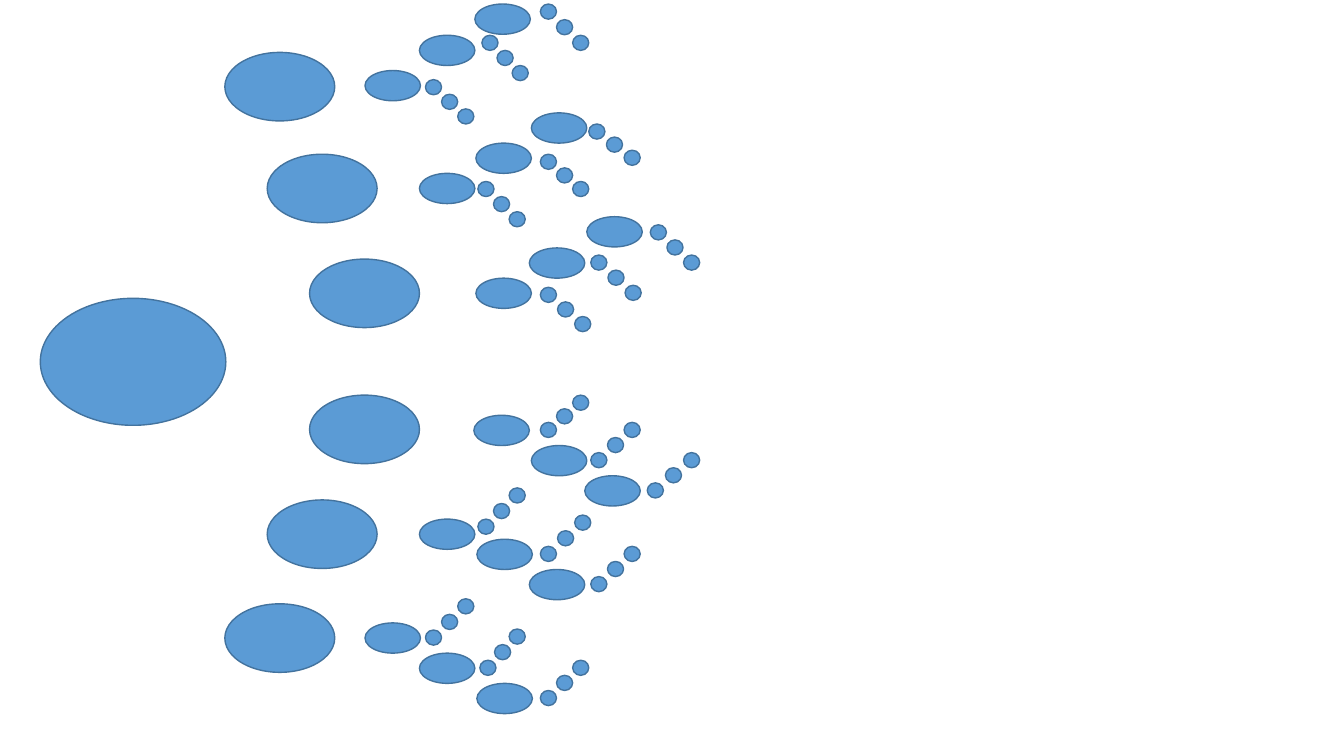
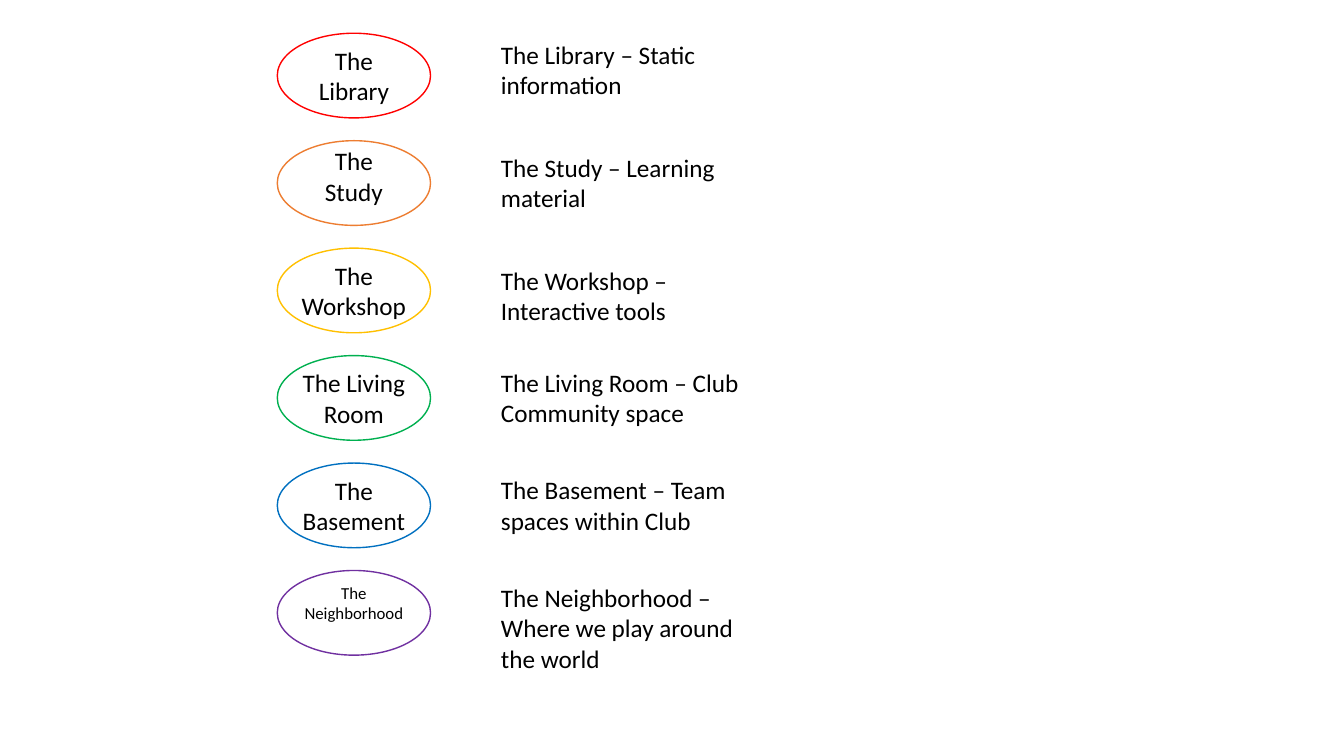
from typing import NamedTuple

from pptx import Presentation
from pptx.dml.color import RGBColor
from pptx.enum.shapes import MSO_SHAPE as Shape
from pptx.enum.text import MSO_AUTO_SIZE as AutoSize, PP_ALIGN as Align
from pptx.slide import Slide
from pptx.util import Inches, Pt

COLORS = {
    "node": "5B9BD5",
    "node_edge": "43739E",
    "white": "FFFFFF",
    "black": "000000",
    "red": "FF0000",
    "orange": "ED7D31",
    "gold": "FFC000",
    "green": "00B050",
    "blue": "0070C0",
    "purple": "7030A0",
}
FONT = "Calibri"

Point = tuple[float, float]
Size = tuple[float, float]

ROOT_SIZE: Size = (1.84, 1.26)
BRANCH_SIZE: Size = (1.09, 0.68)
TWIG_SIZE: Size = (0.55, 0.3)
DOT_SIZE: Size = (0.16, 0.15)
DOTS_PER_TWIG = 3

ROOM_SIZE: Size = (1.52, 0.84)
ROOM_LEFT = 2.75
FIRST_ROOM_TOP = 0.33
LAST_ROOM_TOP = 5.66
DESCRIPTION_LEFT = 4.87
DESCRIPTION_WIDTH = 2.64


class Twig(NamedTuple):
    at: Point
    first_dot: Point
    last_dot: Point


class Branch(NamedTuple):
    at: Point
    twigs: list[Twig]


class Room(NamedTuple):
    label: str
    description: str
    color: str
    description_top: float
    label_offset: float = 0.07
    label_width: float = 1.24
    label_size: int = 18


BRANCHES = [
    Branch((2.23, 0.52), [
        Twig((3.62, 0.7), (4.22, 0.79), (4.54, 1.08)),
        Twig((4.16, 0.35), (4.78, 0.35), (5.08, 0.65)),
        Twig((4.71, 0.04), (5.36, 0.04), (5.68, 0.35)),
    ]),
    Branch((2.65, 1.53), [
        Twig((4.16, 1.72), (4.74, 1.8), (5.05, 2.1)),
        Twig((4.72, 1.42), (5.36, 1.53), (5.68, 1.8)),
        Twig((5.27, 1.12), (5.84, 1.23), (6.19, 1.49)),
    ]),
    Branch((3.07, 2.57), [
        Twig((4.72, 2.76), (5.36, 2.85), (5.7, 3.14)),
        Twig((5.25, 2.46), (5.86, 2.53), (6.2, 2.83)),
        Twig((5.82, 2.15), (6.45, 2.23), (6.78, 2.53)),
    ]),
    Branch((3.07, 3.92), [
        Twig((4.7, 4.12), (5.36, 4.19), (5.68, 3.92)),
        Twig((5.27, 4.42), (5.86, 4.49), (6.19, 4.19)),
        Twig((5.8, 4.72), (6.42, 4.79), (6.78, 4.49)),
    ]),
    Branch((2.65, 4.96), [
        Twig((4.16, 5.15), (4.74, 5.15), (5.05, 4.84)),
        Twig((4.73, 5.35), (5.36, 5.42), (5.7, 5.11)),
        Twig((5.25, 5.65), (5.86, 5.72), (6.19, 5.42)),
    ]),
    Branch((2.23, 5.99), [
        Twig((3.62, 6.18), (4.22, 6.25), (4.54, 5.94)),
        Twig((4.16, 6.48), (4.76, 6.55), (5.05, 6.24)),
        Twig((4.73, 6.78), (5.36, 6.85), (5.68, 6.55)),
    ]),
]

ROOMS = [
    Room("The Library", "The Library – Static information", "red", 0.34,
         label_width=1.17),
    Room("The Study", "The Study – Learning material", "orange", 1.46,
         label_offset=0, label_width=1.17),
    Room("The Workshop", "The Workshop – Interactive tools", "gold", 2.58),
    Room("The Living Room", "The Living Room – Club Community space", "green", 3.59),
    Room("The Basement", "The Basement – Team spaces within Club", "blue", 4.66),
    Room("The\nNeighborhood", "The Neighborhood – Where we play around the world",
         "purple", 5.73, label_size=12),
]


def rgb(color: str) -> RGBColor:
    return RGBColor.from_string(COLORS[color])


def add_ellipse(slide: Slide, at: Point, size: Size,
                fill: str = "node", edge: str = "node_edge") -> None:
    ellipse = slide.shapes.add_shape(Shape.OVAL, *map(Inches, at + size))
    ellipse.shadow.inherit = False
    ellipse.fill.solid()
    ellipse.fill.fore_color.rgb = rgb(fill)
    ellipse.line.color.rgb = rgb(edge)
    ellipse.line.width = Pt(1)


def add_text(slide: Slide, text: str, at: Point, size: Size, *,
             points: int = 18, align: Align = Align.LEFT,
             color: str = "black") -> None:
    frame = slide.shapes.add_textbox(*map(Inches, at + size)).text_frame
    frame.word_wrap = True
    frame.auto_size = AutoSize.SHAPE_TO_FIT_TEXT
    frame.text = text
    for paragraph in frame.paragraphs:
        paragraph.alignment = align
        paragraph.font.name = FONT
        paragraph.font.size = Pt(points)
        paragraph.font.color.rgb = rgb(color)


def add_twig(slide: Slide, twig: Twig) -> None:
    add_ellipse(slide, twig.at, TWIG_SIZE)
    (left, top), (last_left, last_top) = twig.first_dot, twig.last_dot
    for index in range(DOTS_PER_TWIG):
        share = index / (DOTS_PER_TWIG - 1)
        dot_at = (left + share * (last_left - left), top + share * (last_top - top))
        add_ellipse(slide, dot_at, DOT_SIZE)


def add_room(slide: Slide, room: Room, top: float) -> None:
    add_ellipse(slide, (ROOM_LEFT, top), ROOM_SIZE, fill="white", edge=room.color)
    label_left = ROOM_LEFT + (ROOM_SIZE[0] - room.label_width) / 2
    add_text(slide, room.label, (label_left, top + room.label_offset),
             (room.label_width, 0.5 if room.label_size < 18 else 0.71),
             points=room.label_size, align=Align.CENTER)
    add_text(slide, room.description, (DESCRIPTION_LEFT, room.description_top),
             (DESCRIPTION_WIDTH, 0.71))


def build_tree(slide: Slide) -> None:
    add_ellipse(slide, (0.4, 2.96), ROOT_SIZE)
    for branch in BRANCHES:
        add_ellipse(slide, branch.at, BRANCH_SIZE)
        for twig in branch.twigs:
            add_twig(slide, twig)


def build_rooms(slide: Slide) -> None:
    pitch = (LAST_ROOM_TOP - FIRST_ROOM_TOP) / (len(ROOMS) - 1)
    for index, room in enumerate(ROOMS):
        add_room(slide, room, FIRST_ROOM_TOP + index * pitch)


def main() -> None:
    deck = Presentation()
    deck.slide_width = Inches(13.33)
    deck.slide_height = Inches(7.5)
    blank = deck.slide_layouts[6]
    for build in (build_tree, build_rooms):
        build(deck.slides.add_slide(blank))
    deck.save("out.pptx")


if __name__ == "__main__":
    main()
